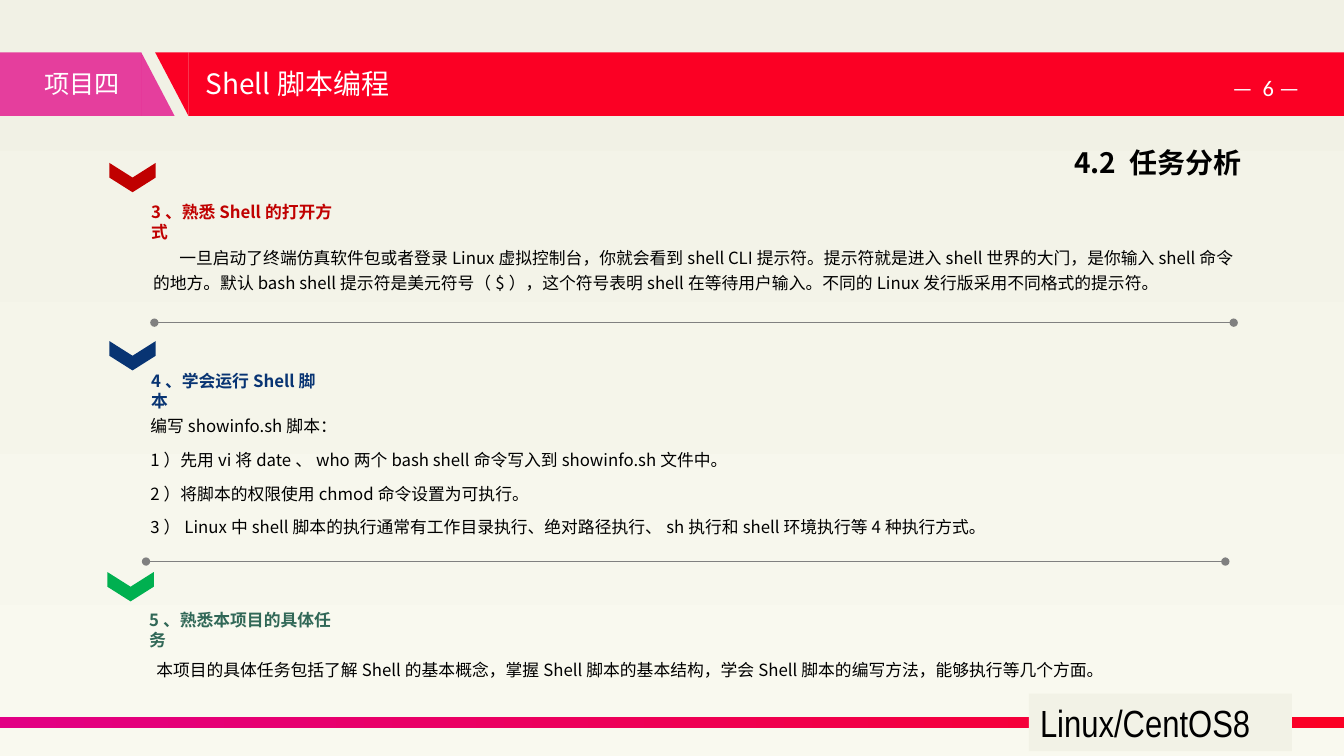
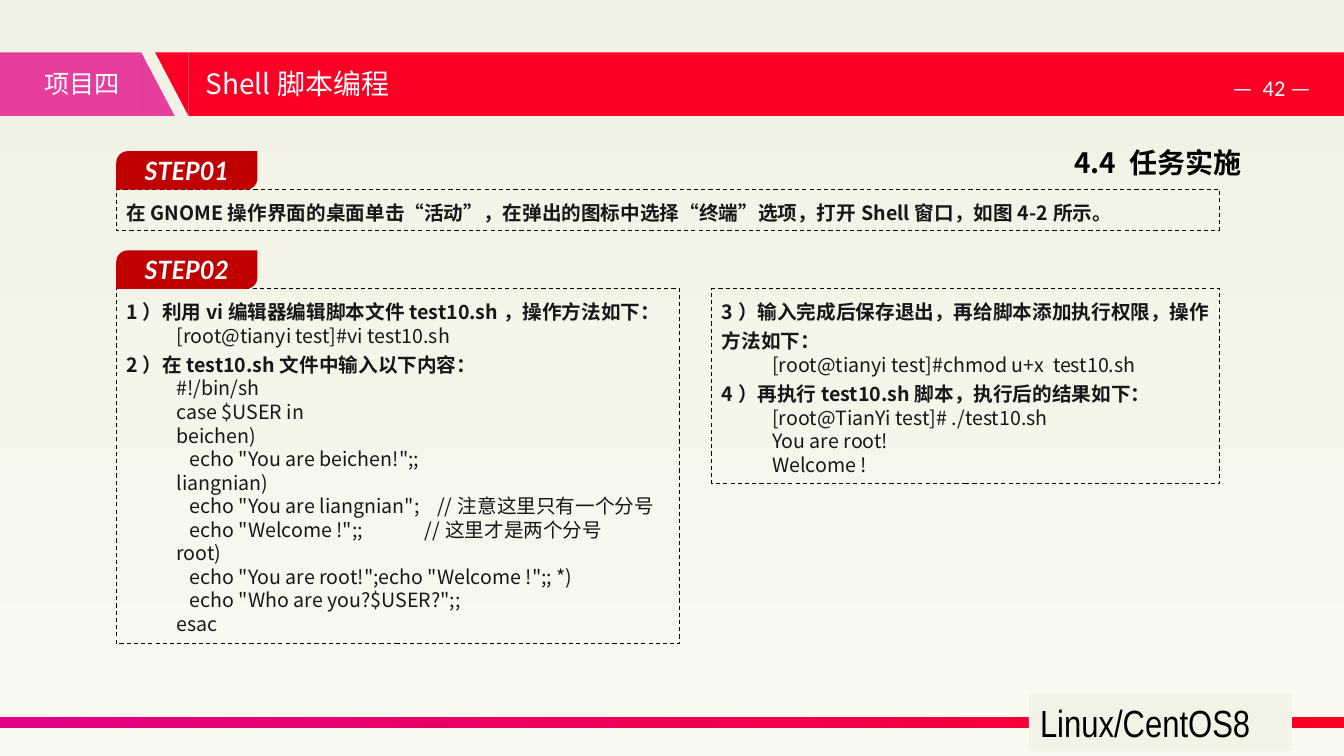
from dataclasses import dataclass

from lxml.etree import SubElement
from pptx import Presentation
from pptx.dml.color import RGBColor
from pptx.enum.dml import MSO_LINE_DASH_STYLE as Dash
from pptx.enum.shapes import MSO_CONNECTOR as Connector, MSO_SHAPE as Shape
from pptx.enum.text import MSO_ANCHOR as Anchor, MSO_AUTO_SIZE as AutoSize, PP_ALIGN as Align
from pptx.oxml.ns import qn
from pptx.util import Cm, Pt

COLORS = {
    "bg_top": "F1F1E5", "bg_bottom": "F9F9EF", "label": "F2F2E6",
    "pink": "E20084", "red": "FB0024", "white": "FFFFFF", "black": "000000",
    "ink": "181717", "rule": "808080", "dark_red": "C00000", "navy": "083473",
    "green": "00B050", "dark_green": "316857",
}
FONT = "Noto Sans CJK SC"
SLIDE_W, SLIDE_H = 33.87, 19.05
BAND_Y, BAND_H, SLANT_W = 1.32, 1.6, 0.84
NARROW_INSETS = (0.18, 0.1)
WIDE_INSETS = (0.25, 0.13)


def rgb(name):
    return RGBColor.from_string(COLORS[name])


def gradient(fill, start, end, angle):
    fill.gradient()
    fill.gradient_angle = angle
    for stop, name in zip(fill.gradient_stops, (start, end)):
        stop.color.rgb = rgb(name)


def add_shape(slide, kind, x, y, w, h, color=None, alpha=None):
    sp = slide.shapes.add_shape(kind, Cm(x), Cm(y), Cm(w), Cm(h))
    sp.shadow.inherit = False
    sp.line.fill.background()
    if color is None:
        sp.fill.background()
        return sp
    sp.fill.solid()
    sp.fill.fore_color.rgb = rgb(color)
    if alpha is not None:
        clr = sp._element.spPr.find(qn("a:solidFill")).find(qn("a:srgbClr"))
        SubElement(clr, qn("a:alpha")).set("val", str(alpha * 1000))
    return sp


def setup_frame(sp, insets=WIDE_INSETS, anchor=Anchor.TOP):
    tf = sp.text_frame
    tf.word_wrap = True
    tf.vertical_anchor = anchor
    tf.margin_left = tf.margin_right = Cm(insets[0])
    tf.margin_top = tf.margin_bottom = Cm(insets[1])
    return tf


def write(p, text, size, color, font=FONT, bold=False, italic=False,
          align=Align.LEFT, spacing=None, indent=0):
    p.text = text
    p.alignment = align
    if spacing:
        p.line_spacing = spacing
    if indent:
        p._p.get_or_add_pPr().set("indent", str(Cm(indent)))
    p.font.size, p.font.bold, p.font.italic = Pt(size), bold, italic
    p.font.color.rgb = rgb(color)
    p.font.name = font
    # East Asian typeface follows the Latin one
    SubElement(p._p.pPr.find(qn("a:defRPr")), qn("a:ea")).set("typeface", font)


def paragraphs(tf, count):
    return [tf.paragraphs[0]] + [tf.add_paragraph() for _ in range(count - 1)]


def add_text(slide, x, y, w, h, lines, size, color, insets=WIDE_INSETS, **style):
    box = slide.shapes.add_textbox(Cm(x), Cm(y), Cm(w), Cm(h))
    tf = setup_frame(box, insets)
    for i, (p, line) in enumerate(zip(paragraphs(tf, len(lines)), lines)):
        if i:
            p.space_before = Pt(size * 0.2)
        write(p, line, size, color, **style)


# Parts shared by all slides
def header_band(slide, y, page):
    add_shape(slide, Shape.RECTANGLE, 0, y, 3.56, BAND_H, "pink", 74)
    add_shape(slide, Shape.RIGHT_TRIANGLE, 3.56, y, SLANT_W, BAND_H, "pink", 74)
    add_shape(slide, Shape.RIGHT_TRIANGLE, 3.91, y, SLANT_W, BAND_H, "red").rotation = 180
    add_shape(slide, Shape.RECTANGLE, 4.75, y, SLIDE_W - 4.75, BAND_H, "red")
    add_text(slide, 0, y + 0.28, 4.14, 1.02, ["项目四"], 18, "white", align=Align.CENTER)
    add_text(slide, 4.93, y + 0.23, 9.8, 1.12, ["Shell脚本编程"], 20, "white")
    add_text(slide, 30.81, y + 0.41, 3.05, 0.94, [f"—  {page} —"], 16, "white", font="Calibri")


def footer_band(slide, y):
    band = add_shape(slide, Shape.RECTANGLE, 0, y, SLIDE_W, 0.27, "red")
    gradient(band.fill, "pink", "red", 0)
    label = add_shape(slide, Shape.RECTANGLE, 25.93, y - 0.6, 6.63, 1.45, "label")
    tf = setup_frame(label, (0.28, 0.15))
    write(tf.paragraphs[0], "Linux/CentOS8", 27, "black", font="Arial Narrow")


def base_slide(prs, page, title):
    slide = prs.slides.add_slide(prs.slide_layouts[6])
    gradient(slide.background.fill, "bg_top", "bg_bottom", 270)
    footer_band(slide, 18.08)
    header_band(slide, BAND_Y, page)
    add_text(slide, 23.72, 3.53, 7.82, 1.12, [title], 20, "black",
             bold=True, align=Align.RIGHT)
    return slide


# Analysis slide
@dataclass
class Section:
    x: float
    y: float
    chevron: str
    title_color: str
    title: str
    title_w: float
    title_dy: float
    body_dx: float
    body_dy: float
    body: list
    spacing: float = 1.5
    indent: float = 0


def section(slide, s):
    add_shape(slide, Shape.CHEVRON, s.x, s.y, 0.74, 1.17, s.chevron).rotation = 90
    add_text(slide, s.x + 0.66, s.y + s.title_dy, s.title_w, 0.71, [s.title], 12,
             s.title_color, NARROW_INSETS, bold=True)
    add_text(slide, s.x + s.body_dx, s.y + s.body_dy, 27.6, 0.9 * len(s.body), s.body, 12,
             "black", NARROW_INSETS, spacing=s.spacing, indent=s.indent)


def divider(slide, x, y, w):
    line = slide.shapes.add_connector(Connector.STRAIGHT, Cm(x), Cm(y), Cm(x + w), Cm(y))
    line.line.width = Pt(0.5)
    line.line.color.rgb = rgb("rule")
    spPr = line._element.spPr
    for end in ("a:headEnd", "a:tailEnd"):
        SubElement(spPr.find(qn("a:ln")), qn(end)).set("type", "oval")
    SubElement(spPr, qn("a:effectLst"))


SECTIONS = [
    Section(2.97, 3.89, "dark_red", "dark_red", "3、熟悉Shell的打开方式", 5.08, 1.09, 0.71, 2.13,
            ["一旦启动了终端仿真软件包或者登录Linux虚拟控制台，你就会看到shell CLI提示符。"
             "提示符就是进入shell世界的大门，是你输入shell命令的地方。默认bash shell提示符是"
             "美元符号（$），这个符号表明shell在等待用户输入。不同的Linux发行版采用不同格式的提示符。"],
            spacing=1.25, indent=0.66),
    Section(2.97, 8.38, "navy", "navy", "4、学会运行Shell脚本", 4.67, 0.86, 0.64, 1.75,
            ["编写showinfo.sh脚本：",
             "1）先用vi将date、who两个bash shell命令写入到showinfo.sh文件中。",
             "2）将脚本的权限使用chmod命令设置为可执行。",
             "3）Linux中shell脚本的执行通常有工作目录执行、绝对路径执行、sh执行和shell环境执行等4种执行方式。"]),
    Section(2.92, 14.2, "green", "dark_green", "5、熟悉本项目的具体任务", 5.33, 1.07, 0.84, 2.06,
            ["本项目的具体任务包括了解Shell的基本概念，掌握Shell脚本的基本结构，"
             "学会Shell脚本的编写方法，能够执行等几个方面。"]),
]


def analysis_slide(prs):
    slide = base_slide(prs, 6, "4.2 任务分析")
    for s in SECTIONS:
        section(slide, s)
    divider(slide, 3.89, 8.13, 27.2)
    divider(slide, 3.68, 14.15, 27.2)


# Steps slide
def step_tab(slide, x, y, text):
    tab = add_shape(slide, Shape.ROUND_2_DIAG_RECTANGLE, x, y, 3.56, 0.97, "dark_red")
    tab.adjustments[0], tab.adjustments[1] = 0.3, 0
    tf = setup_frame(tab, anchor=Anchor.MIDDLE)
    write(tf.paragraphs[0], text, 18, "white", font="Lato", bold=True, italic=True,
          align=Align.CENTER)


def step_box(slide, x, y, w, h, blocks):
    """Each block is an instruction followed by its code lines."""
    box = add_shape(slide, Shape.RECTANGLE, x, y, w, h)
    box.line.color.rgb = rgb("black")
    box.line.width = Pt(0.75)
    box.line.dash_style = Dash.DASH
    tf = setup_frame(box)
    tf.auto_size = AutoSize.SHAPE_TO_FIT_TEXT
    rows = [(line, i == 0) for block in blocks for i, line in enumerate(block)]
    for p, (line, is_head) in zip(paragraphs(tf, len(rows)), rows):
        if is_head:
            write(p, line, 14, "ink", bold=True, spacing=1.25)
        else:
            write(p, line, 14, "ink", indent=1.27)


OPEN_SHELL = [["在GNOME操作界面的桌面单击“活动”，在弹出的图标中选择“终端”选项，打开Shell窗口，如图4-2所示。"]]
EDIT_SCRIPT = [
    ["1）利用vi编辑器编辑脚本文件test10.sh，操作方法如下：",
     "[root@tianyi test]#vi test10.sh"],
    ["2）在test10.sh文件中输入以下内容：",
     "#!/bin/sh",
     "case $USER in",
     "beichen)",
     '   echo "You are beichen!";;',
     "liangnian)",
     '   echo "You are liangnian";    //注意这里只有一个分号',
     '   echo "Welcome !";;              //这里才是两个分号',
     "root)",
     '   echo "You are root!";echo "Welcome !";; *)',
     '   echo "Who are you?$USER?";;',
     "esac"],
]
RUN_SCRIPT = [
    ["3）输入完成后保存退出，再给脚本添加执行权限，操作方法如下：",
     "[root@tianyi test]#chmod u+x  test10.sh"],
    ["4）再执行test10.sh脚本，执行后的结果如下：",
     "[root@TianYi test]# ./test10.sh",
     "You are root!",
     "Welcome !"],
]


def steps_slide(prs):
    slide = base_slide(prs, 42, "4.4 任务实施")
    left, right, row1, row2 = 2.93, 30.74, 4.78, 7.28
    step_box(slide, left, row1, right - left, 1.02, OPEN_SHELL)
    step_tab(slide, left, row1 - 0.97, "STEP01")
    step_box(slide, left, row2, 14.2, 8.94, EDIT_SCRIPT)
    step_tab(slide, left, row2 - 0.97, "STEP02")
    step_box(slide, right - 12.8, row2, 12.8, 4.9, RUN_SCRIPT)


def main():
    prs = Presentation()
    prs.slide_width, prs.slide_height = Cm(SLIDE_W), Cm(SLIDE_H)
    analysis_slide(prs)
    steps_slide(prs)
    prs.save("out.pptx")


if __name__ == "__main__":
    main()
